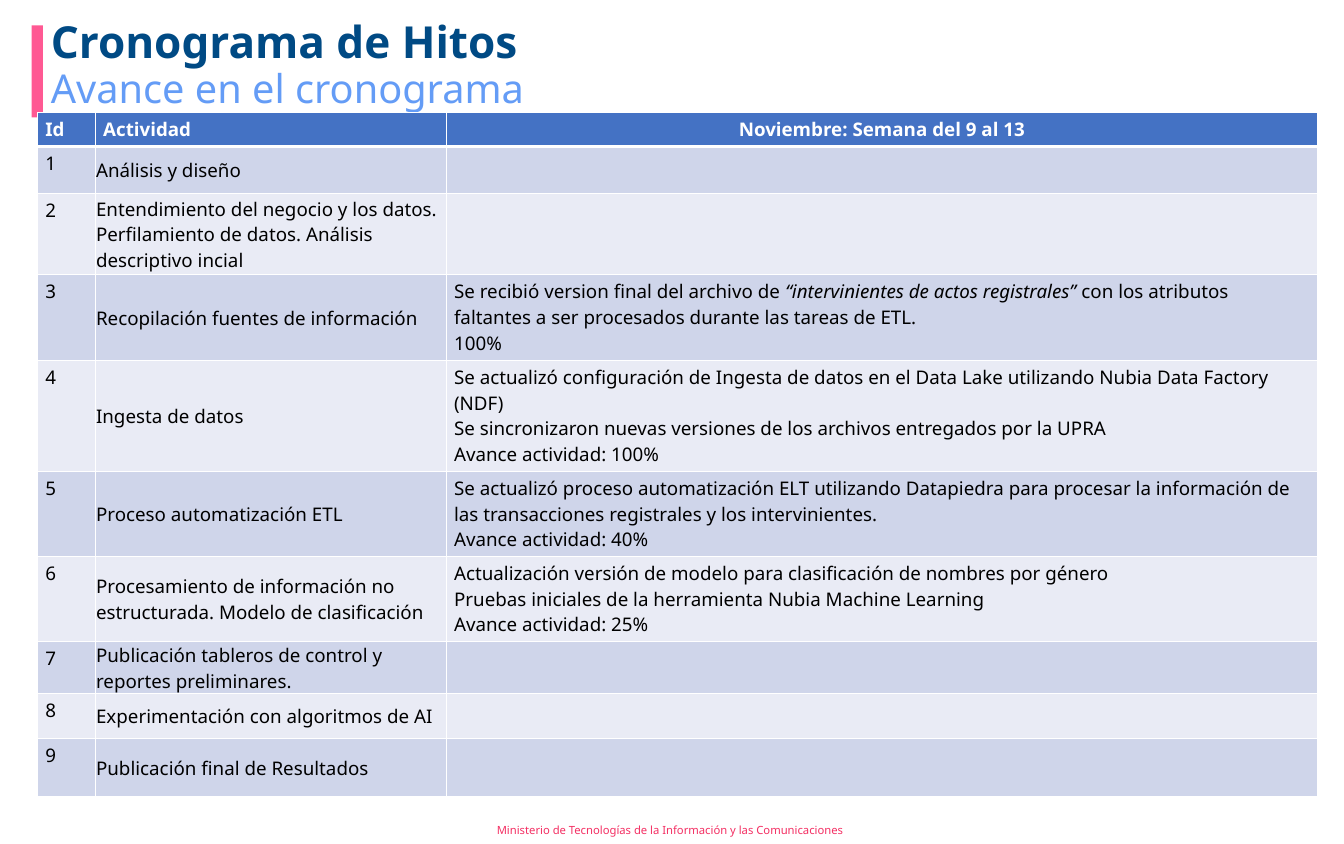
from collections import namedtuple

from lxml import etree
from pptx import Presentation
from pptx.dml.color import RGBColor
from pptx.enum.shapes import MSO_SHAPE
from pptx.enum.text import MSO_ANCHOR, MSO_AUTO_SIZE, PP_ALIGN
from pptx.oxml.ns import qn
from pptx.util import Inches, Pt

RECTANGLE = MSO_SHAPE.RECTANGLE
TOP, MIDDLE = MSO_ANCHOR.TOP, MSO_ANCHOR.MIDDLE
LEFT, CENTER = PP_ALIGN.LEFT, PP_ALIGN.CENTER
NO_AUTOFIT = MSO_AUTO_SIZE.NONE

FONT = "Noto Sans"
WHITE = RGBColor(0xFF, 0xFF, 0xFF)
BLACK = RGBColor(0x00, 0x00, 0x00)
PINK = RGBColor(0xFF, 0x59, 0x93)
CRIMSON = RGBColor(0xF4, 0x2F, 0x63)
NAVY = RGBColor(0x00, 0x4A, 0x84)
SKY = RGBColor(0x64, 0x9C, 0xF6)
HEADER_BLUE = RGBColor(0x44, 0x72, 0xC4)
BANDS = (RGBColor(0xCF, 0xD5, 0xEA), RGBColor(0xE9, 0xEB, 0xF5))

SLIDE_WIDTH, SLIDE_HEIGHT = 16.93, 10.63
Box = namedtuple("Box", "left top width height")
HEADING_BOX = Box(0.4, 0.21, 16.13, 1.36)
TABLE_BOX = Box(0.47, 1.42, 16.13, 8.61)
FOOTER_BOX = Box(6.16, 10.28, 4.6, 0.35)

COLUMN_WIDTHS = (0.73, 4.42, 10.98)
HEADERS = ("Id", "Actividad", "Noviembre: Semana del 9 al 13")
HEADER_HEIGHT = 0.43
MILESTONES = [
    (0.59, "Análisis y diseño", []),
    (1.02, "Entendimiento del negocio y los datos. Perfilamiento de datos. "
           "Análisis descriptivo incial", []),
    (1.08, "Recopilación fuentes de información", [
        ["Se recibió version final del archivo de ",
         "“intervinientes de actos registrales” ",
         "con los atributos faltantes a ser procesados durante las tareas de ETL."],
        "100%"]),
    (1.4, "Ingesta de datos", [
        "Se actualizó configuración de Ingesta de datos en el Data Lake "
        "utilizando Nubia Data Factory (NDF)",
        "Se sincronizaron nuevas versiones de los archivos entregados por la UPRA",
        "Avance actividad: 100%"]),
    (1.07, "Proceso automatización ETL", [
        "Se actualizó proceso automatización ELT utilizando Datapiedra para procesar "
        "la información de las transacciones registrales y los intervinientes.",
        "Avance actividad: 40%"]),
    (1.07, "Procesamiento de información no estructurada. Modelo de clasificación", [
        "Actualización versión de modelo para clasificación de nombres por género",
        "Pruebas iniciales de la herramienta Nubia Machine Learning",
        "Avance actividad: 25%"]),
    (0.65, "Publicación tableros de control y reportes preliminares.", []),
    (0.56, "Experimentación con algoritmos de AI", []),
    (0.74, "Publicación final de Resultados", []),
]


def write_text(frame, paragraphs, size=17, color=BLACK, bold=False, align=LEFT,
               line_spacing=None):
    """Write paragraphs; in a list of runs, every second run is italic."""
    for number, content in enumerate(paragraphs):
        paragraph = frame.paragraphs[0] if number == 0 else frame.add_paragraph()
        paragraph.alignment = align
        if line_spacing:
            paragraph.line_spacing = line_spacing
        runs = [content] if isinstance(content, str) else content
        for position, text in enumerate(runs):
            run = paragraph.add_run()
            run.text = text
            font = run.font
            font.name, font.size, font.bold = FONT, Pt(size), bold
            font.italic = position % 2 == 1
            font.color.rgb = color


def place(shape, box):
    """Move a shape to a box given in inches."""
    shape.left, shape.top, shape.width, shape.height = (Inches(value) for value in box)


def fill_placeholder(placeholder, box, text, **text_format):
    """Place a placeholder and write its text from the top, without a bullet."""
    place(placeholder, box)
    frame = placeholder.text_frame
    frame.auto_size = NO_AUTOFIT
    frame.vertical_anchor = TOP
    frame.word_wrap = True
    write_text(frame, [text], line_spacing=0.9, **text_format)
    properties = frame.paragraphs[0]._p.get_or_add_pPr()
    properties.set("marL", "0")
    properties.set("indent", "0")
    etree.SubElement(properties, qn("a:buNone"))


def add_heading(slide, box):
    """Draw the accent bar and fill the title and subtitle beside it."""
    bar_width = 0.14
    bar = slide.shapes.add_shape(RECTANGLE, 0, 0, 0, 0)
    place(bar, Box(box.left, box.top + 0.11, bar_width, 1.16))
    bar.shadow.inherit = False
    bar.fill.solid()
    bar.fill.fore_color.rgb = PINK
    bar.line.fill.background()
    text_left = box.left + bar_width
    fill_placeholder(slide.shapes.title,
                     Box(text_left, box.top, box.width - bar_width, 0.55),
                     "Cronograma de Hitos", size=40, color=NAVY, bold=True)
    fill_placeholder(slide.placeholders[1],
                     Box(text_left, box.top + 0.61, 13.08, 0.75),
                     "Avance en el cronograma", size=36, color=SKY)


def style_cell(cell, fill, bottom_width=1):
    """Give a cell its fill and white borders."""
    cell.fill.solid()
    cell.fill.fore_color.rgb = fill
    properties = cell._tc.get_or_add_tcPr()
    for position, side in enumerate(("lnL", "lnR", "lnT", "lnB")):
        border = etree.Element(qn(f"a:{side}"))
        border.set("w", str(Pt(bottom_width if side == "lnB" else 1)))
        solid = etree.SubElement(border, qn("a:solidFill"))
        etree.SubElement(solid, qn("a:srgbClr")).set("val", str(WHITE))
        properties.insert(position, border)


def add_schedule(slide, box):
    """Build the milestone table in its box."""
    frame = slide.shapes.add_table(len(MILESTONES) + 1, len(HEADERS),
                                   *(Inches(value) for value in box))
    table = frame.table
    for column, width in zip(table.columns, COLUMN_WIDTHS):
        column.width = Inches(width)
    table.rows[0].height = Inches(HEADER_HEIGHT)
    for index, header in enumerate(HEADERS):
        cell = table.cell(0, index)
        style_cell(cell, HEADER_BLUE, bottom_width=3)
        write_text(cell.text_frame, [header], color=WHITE, bold=True,
                   align=CENTER if index == 2 else LEFT)
    for number, (height, activity, progress) in enumerate(MILESTONES, start=1):
        table.rows[number].height = Inches(height)
        contents = ([str(number)], [activity], progress)
        for index, paragraphs in enumerate(contents):
            cell = table.cell(number, index)
            style_cell(cell, BANDS[(number - 1) % 2])
            write_text(cell.text_frame, paragraphs)
        activity_cell = table.cell(number, 1)
        activity_cell.vertical_anchor = MIDDLE
        activity_cell.margin_left = activity_cell.margin_right = Inches(0.01)
        activity_cell.margin_top, activity_cell.margin_bottom = Inches(0.01), 0


def add_footer(slide, box):
    """Write the ministry's name at the foot of the slide."""
    footer = slide.shapes.add_textbox(*(Inches(value) for value in box))
    footer.text_frame.word_wrap = True
    footer.text_frame.vertical_anchor = MIDDLE
    write_text(footer.text_frame,
               ["Ministerio de Tecnologías de la Información y las Comunicaciones"],
               size=10.2, color=CRIMSON)


def main():
    """Build and save the presentation."""
    presentation = Presentation()
    presentation.slide_width = Inches(SLIDE_WIDTH)
    presentation.slide_height = Inches(SLIDE_HEIGHT)
    slide = presentation.slides.add_slide(presentation.slide_layouts[1])
    add_heading(slide, HEADING_BOX)
    add_schedule(slide, TABLE_BOX)
    add_footer(slide, FOOTER_BOX)
    presentation.save("out.pptx")


if __name__ == "__main__":
    main()
